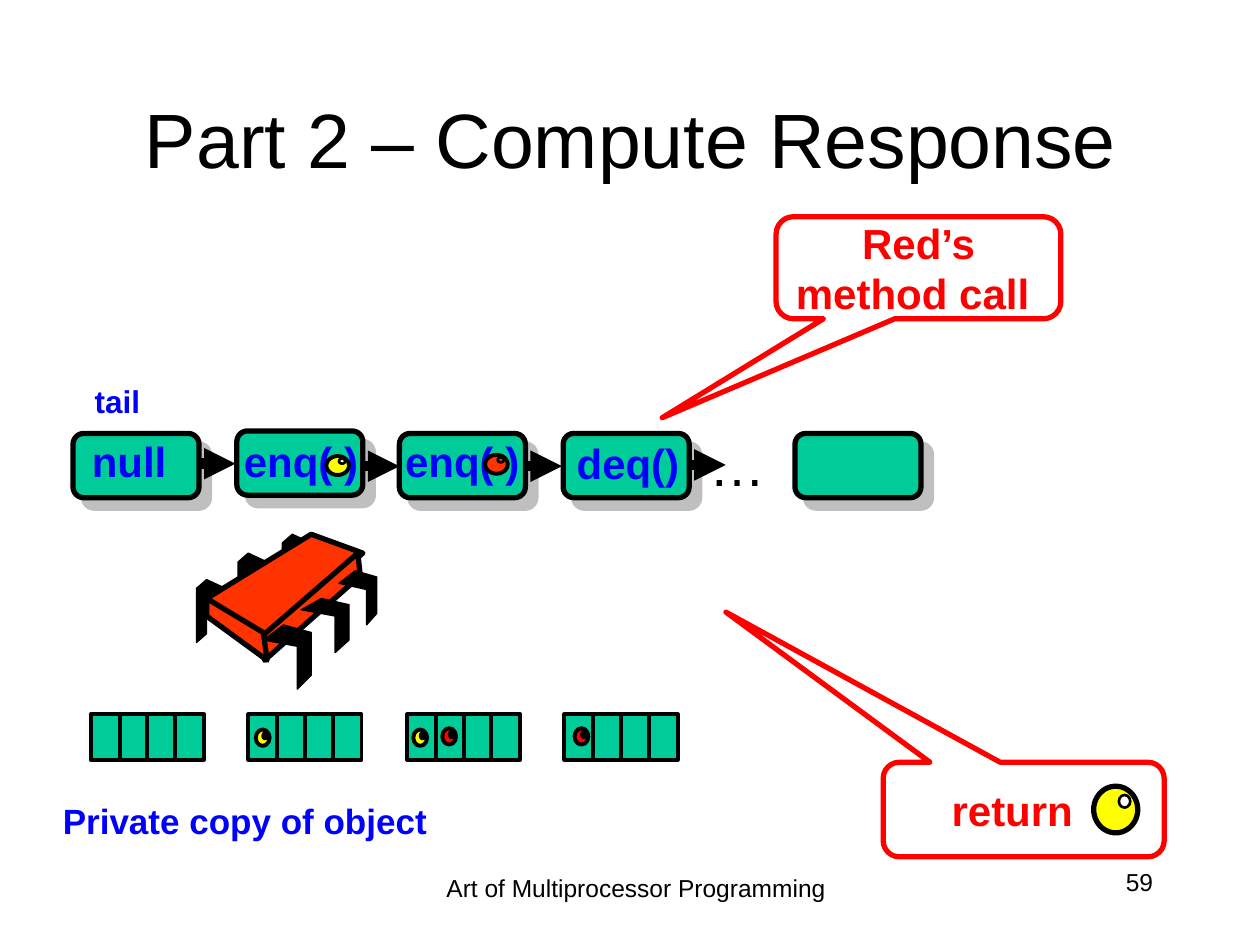
from lxml.etree import SubElement
from pptx import Presentation
from pptx.dml.color import RGBColor
from pptx.enum.shapes import MSO_CONNECTOR, MSO_SHAPE as SHAPE
from pptx.enum.text import MSO_ANCHOR as ANCHOR, PP_ALIGN as ALIGN
from pptx.oxml.ns import qn
from pptx.util import Pt

PX = 9144
COLORS = {
    "black": "000000", "white": "FFFFFF", "blue": "0000FF", "red": "FF0000",
    "pink": "FF7C80", "orange": "FF3300", "yellow": "FFFF00",
    "green": "00CC99", "gray": "808080",
}


def rgb(name):
    return RGBColor.from_string(COLORS[name])


class SlideBuilder:
    font = "Arial"

    def __init__(self, slide):
        self.slide = slide
        self.shapes = slide.shapes

    def start_group(self):
        self.shapes = self.slide.shapes.add_group_shape().shapes

    def end_group(self):
        self.shapes = self.slide.shapes

    def paint(self, sp, fill, line, width):
        sp.shadow.inherit = False
        sp.fill.solid()
        sp.fill.fore_color.rgb = rgb(fill)
        sp.line.color.rgb = rgb(line)
        sp.line.width = Pt(width)
        return sp

    def shape(self, kind, x, y, w, h, fill, line="black", width=2.25):
        sp = self.shapes.add_shape(kind, x * PX, y * PX, w * PX, h * PX)
        return self.paint(sp, fill, line, width)

    def outline(self, points, fill, width):
        builder = self.shapes.build_freeform(*points[0], scale=PX)
        builder.add_line_segments(points[1:], close=True)
        return self.paint(builder.convert_to_shape(), fill, "black", width)

    def line(self, x1, x2, y, width, arrow=False):
        cxn = self.shapes.add_connector(
            MSO_CONNECTOR.STRAIGHT, x1 * PX, y * PX, x2 * PX, y * PX)
        cxn.line.color.rgb = rgb("black")
        cxn.line.width = Pt(width)
        props = cxn._element.spPr
        if arrow:
            SubElement(props.find(qn("a:ln")), qn("a:tailEnd"), type="triangle")
        SubElement(props, qn("a:effectLst"))

    def fill_text(self, tf, text, size, color, align, bold):
        p = tf.paragraphs[0]
        p.text = text
        p.alignment = align
        p.font.name = self.font
        p.font.size = Pt(size)
        p.font.bold = bold
        p.font.color.rgb = rgb(color)

    def text(self, text, x, y, w, h, size, color="black", align=ALIGN.CENTER,
             bold=False, wrap=True, anchor=ANCHOR.TOP):
        tf = self.shapes.add_textbox(x * PX, y * PX, w * PX, h * PX).text_frame
        tf.word_wrap = wrap
        tf.vertical_anchor = anchor
        self.fill_text(tf, text, size, color, align, bold)

    def label(self, text, x, y, w, h, size=24):
        self.text(text, x, y, w, h, size, "blue", ALIGN.RIGHT, True, wrap=False)

    def node(self, x, y):
        sp = self.shape(SHAPE.ROUNDED_RECTANGLE, x, y, 100, 51, "green", width=3)
        effects = sp._element.spPr.find(qn("a:effectLst"))
        shadow = SubElement(effects, qn("a:outerShdw"), dist=str(Pt(8.5)),
                            dir="2700000", algn="ctr", rotWithShape="0")
        color = SubElement(shadow, qn("a:srgbClr"), val=COLORS["gray"])
        SubElement(color, qn("a:alpha"), val="50000")

    def callout(self, text, x, y, w, h, tip, right_inset=10):
        sp = self.shape(SHAPE.ROUNDED_RECTANGULAR_CALLOUT, x, y, w, h,
                        "white", "red", 3)
        for i, value in enumerate(tip):
            sp.adjustments[i] = value
        color = sp._element.spPr.find(qn("a:solidFill")).find(qn("a:srgbClr"))
        SubElement(color, qn("a:alpha"), val="80000")
        tf = sp.text_frame
        tf.word_wrap = True
        tf.vertical_anchor = ANCHOR.MIDDLE
        tf.margin_right = right_inset * PX
        self.fill_text(tf, text, 24, "red", ALIGN.CENTER, True)

    def ball(self, outer, inner, fill, shine, width=2.25, shine_width=1.5):
        self.shape(SHAPE.OVAL, *outer, fill, width=width)
        self.shape(SHAPE.OVAL, *inner, shine, width=shine_width)

    def queue(self, x, balls):
        top, height = 567, 36
        self.start_group()
        for dx, w in ((0, 23), (23, 23), (45, 22)):
            self.shape(SHAPE.RECTANGLE, x + dx, top, w, height, "green")
        for y in (top, top + height):
            self.line(x + 66, x + 88, y, 2.25)
        for dx, y, fill, shine in balls:
            self.ball((x + dx, y, 11, 13), (x + dx + 6, y + 3, 3, 4),
                      fill, shine, shine_width=2.25)
        self.shape(SHAPE.RECTANGLE, x + 67, top, 23, height, "green")
        self.end_group()

    def chip(self, parts):
        self.start_group()
        for fill, width, outlines in parts:
            for points in outlines:
                self.outline(points, fill, width)
        self.end_group()


BACK_LEGS = [
    [(x + dx, y + dy) for dx, dy in
     ((23, 7), (8, 0), (0, 7), (0, foot), (8, foot - 7), (8, knee), (23, knee + 7))]
    for x, y, foot, knee in ((156, 460, 50, 14), (189, 439, 50, 14), (224, 424, 43, 13))
]
BODY = [
    [(247, 424), (164, 475), (210, 505), (288, 439)],
    [(284, 439), (209, 504), (210, 524), (286, 457)],
    [(164, 475), (164, 489), (212, 524), (209, 502)],
]
FRONT_LEGS = [
    [(225, 496), (209, 508), (236, 513), (236, 547), (247, 536), (247, 502)],
    [(255, 475), (239, 484), (266, 489), (266, 518), (277, 508), (277, 480)],
    [(282, 453), (269, 463), (291, 468), (291, 496), (299, 487), (299, 458)],
]
CHIP = [("black", 0.75, BACK_LEGS), ("orange", 3, BODY), ("black", 0.75, FRONT_LEGS)]
NODES = [(58, 344), (447, 344), (317, 344), (188, 342), (631, 344)]
ARROWS = [(288, 370), (417, 370), (158, 368), (547, 369)]
LABELS = [
    ("null", 62, 341, 80, 50), ("enq( )", 182, 341, 112, 50),
    ("enq( )", 310, 341, 112, 50), ("deq()", 446, 342, 103, 50),
    ("tail", 64, 298, 57, 40, 18),
]
YELLOW, RED = ("yellow", "white"), ("red", "pink")
QUEUES = [
    (72, []),
    (197, [(6, 579, *YELLOW)]),
    (323, [(28, 578, *RED), (5, 579, *YELLOW)]),
    (448, [(8, 578, *RED)]),
]


def main():
    prs = Presentation()
    prs.slide_width, prs.slide_height = 1000 * PX, 750 * PX
    s = SlideBuilder(prs.slides.add_slide(prs.slide_layouts[6]))

    s.text("Part 2 – Compute Response", 76, 47, 850, 125, 44, anchor=ANCHOR.MIDDLE)
    for x, y in NODES:
        s.node(x, y)
    for x, y in ARROWS:
        s.line(x, x + 29, y, 6, arrow=True)
    for label in LABELS:
        s.label(*label)
    s.text("…", 553, 337, 65, 64, 32, wrap=False)
    s.callout("Red’s method call ", 616, 172, 226, 81, (-0.9, 1.47, 0.17))

    s.chip(CHIP)
    for x, balls in QUEUES:
        s.queue(x, balls)

    s.start_group()
    s.callout("return", 701, 605, 223, 75, (-1.06, -2.09, 0.17), right_inset=28)
    s.ball((868, 624, 35, 37), (888, 631, 9, 10), "yellow", "white", width=3)
    s.end_group()
    s.ball((259, 362, 18, 15), (269, 364, 5, 4), "yellow", "white")
    s.ball((385, 361, 18, 15), (395, 363, 5, 4), "orange", "orange")

    s.text("Private copy of object", 40, 630, 378, 43, 20, "blue", ALIGN.LEFT, True)
    s.text("59", 717, 683, 208, 50, 14, align=ALIGN.RIGHT)
    s.text("Art of Multiprocessor Programming", 323, 688, 364, 50, 14)
    prs.save("out.pptx")


if __name__ == "__main__":
    main()
